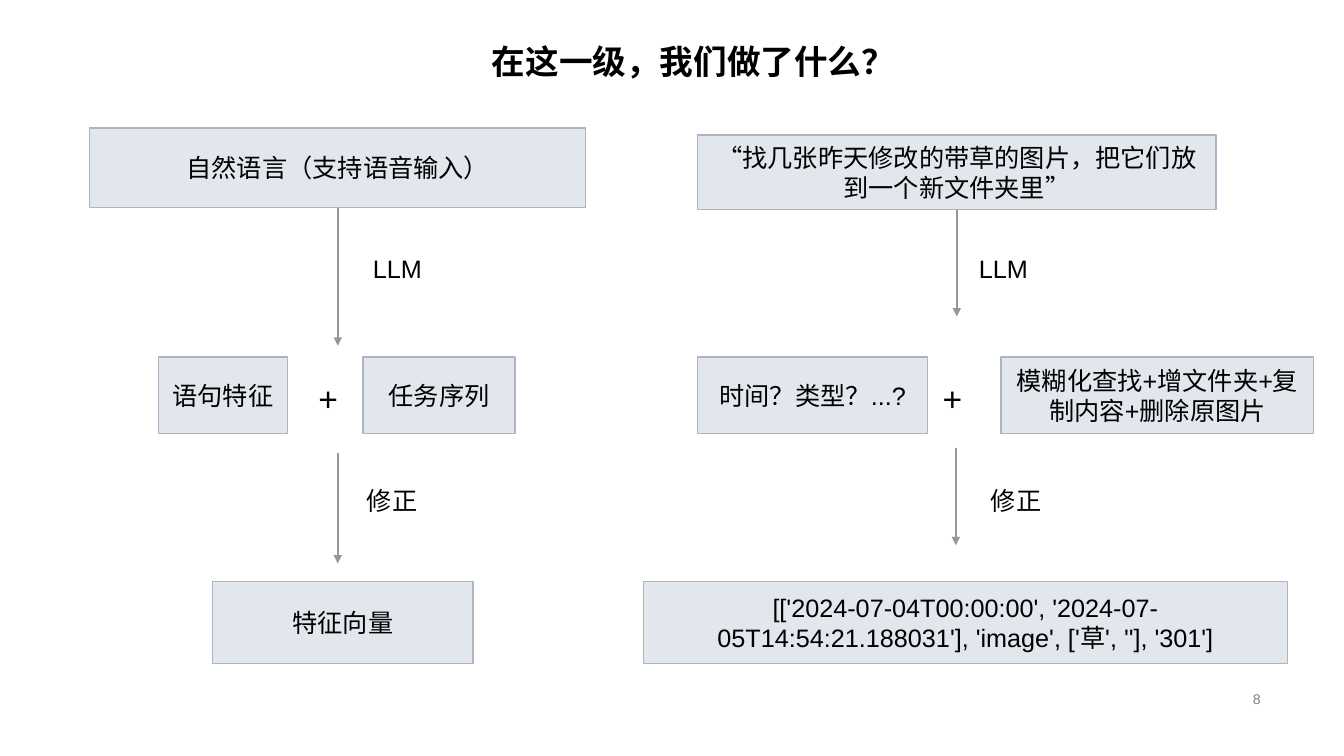
from dataclasses import dataclass
from typing import Any, Optional

from lxml import etree
from pptx import Presentation
from pptx import util as u
from pptx.dml.color import RGBColor
from pptx.enum import shapes, text
from pptx.oxml.ns import qn

COLORS = {"fill": "E2E6ED", "border": "AEB5C0", "arrow": "979797",
          "text": "000000", "number": "808080"}
BODY = {"size": u.Pt(18), "name": "Arial", "bold": False}
PLUS = {**BODY, "size": u.Pt(24)}
TITLE = {**PLUS, "bold": True}
NUMBER = {**BODY, "size": u.Pt(10)}
ROW_TOP, ROW_H = 3.54, 0.76
RESULT_TOP, RESULT_H = 5.77, 0.81


@dataclass
class Box:
    text: str
    x: float
    y: float
    w: float
    h: float


@dataclass
class Label(Box):
    font: dict[str, Any]
    align: Any = text.PP_ALIGN.LEFT
    anchor: Any = text.MSO_ANCHOR.TOP
    color: str = "text"


@dataclass
class Arrow:
    x: float
    y1: float
    y2: float
    source: Optional[int] = None


BOXES = [
    Box("自然语言（支持语音输入）", 0.89, 1.27, 4.92, 0.79),
    Box("语句特征", 1.57, ROW_TOP, 1.28, ROW_H),
    Box("任务序列", 3.6, ROW_TOP, 1.51, ROW_H),
    Box("特征向量", 2.11, RESULT_TOP, 2.58, RESULT_H),
    Box("“找几张昨天修改的带草的图片，把它们放到一个新文件夹里”", 6.92, 1.34, 5.14, 0.74),
    Box("时间？类型？...?", 6.92, ROW_TOP, 2.28, ROW_H),
    Box("模糊化查找+增文件夹+复制内容+删除原图片", 9.93, ROW_TOP, 3.1, ROW_H),
    Box("[['2024-07-04T00:00:00', '2024-07-05T14:54:21.188031'], 'image', ['草', ''], '301']",
        6.38, RESULT_TOP, 6.39, RESULT_H),
]
ARROWS = [
    Arrow(3.35, 2.06, 3.43, source=0),
    Arrow(3.35, 4.49, 5.59),
    Arrow(9.49, 2.08, 3.14, source=4),
    Arrow(9.48, 4.44, 5.41),
]
LABELS = [
    Label("在这一级，我们做了什么？", 4.78, 0.36, 4.25, 0.4, TITLE),
    Label("LLM", 3.6, 2.46, 0.75, 0.4, BODY),
    Label("LLM", 9.61, 2.46, 1.03, 0.4, BODY),
    Label("+", 3.06, 3.7, 0.48, 0.6, PLUS),
    Label("+", 9.25, 3.7, 0.48, 0.6, PLUS),
    Label("修正", 3.54, 4.77, 1.63, 0.4, BODY),
    Label("修正", 9.73, 4.77, 1.63, 0.4, BODY),
    Label("8", 9.42, 6.82, 3.18, 0.23, NUMBER, text.PP_ALIGN.RIGHT,
          text.MSO_ANCHOR.MIDDLE, "number"),
]


def rgb(name: str) -> RGBColor:
    return RGBColor.from_string(COLORS[name])


def bounds(b: Box) -> list[int]:
    return [u.Inches(v) for v in (b.x, b.y, b.w, b.h)]


def write(sp: Any, content: str, font: dict[str, Any], align: Any, anchor: Any,
          color: str = "text") -> None:
    tf = sp.text_frame
    tf.word_wrap = True
    tf.vertical_anchor = anchor
    p = tf.paragraphs[0]
    p.alignment = align
    r = p.add_run()
    r.text = content
    for key, value in font.items():
        setattr(r.font, key, value)
    r.font.color.rgb = rgb(color)


def draw_box(s: Any, b: Box) -> Any:
    sp = s.shapes.add_shape(shapes.MSO_SHAPE.RECTANGLE, *bounds(b))
    sp.shadow.inherit = False
    sp.fill.solid()
    sp.fill.fore_color.rgb = rgb("fill")
    sp.line.color.rgb = rgb("border")
    sp.line.width = u.Pt(1)
    write(sp, b.text, BODY, text.PP_ALIGN.CENTER, text.MSO_ANCHOR.MIDDLE)
    return sp


def draw_label(s: Any, b: Label) -> None:
    sp = s.shapes.add_textbox(*bounds(b))
    write(sp, b.text, b.font, b.align, b.anchor, b.color)


def draw_arrow(s: Any, a: Arrow, boxes: list[Any]) -> None:
    x = u.Inches(a.x)
    c = s.shapes.add_connector(shapes.MSO_CONNECTOR.STRAIGHT,
                               x, u.Inches(a.y1), x, u.Inches(a.y2))
    if a.source is not None:
        c.begin_connect(boxes[a.source], 2)
    c.line.color.rgb = rgb("arrow")
    c.line.width = u.Pt(1.5)
    etree.SubElement(c.line._get_or_add_ln(), qn("a:tailEnd"), type="triangle")
    etree.SubElement(c._element.spPr, qn("a:effectLst"))


def main() -> None:
    prs = Presentation()
    prs.slide_width, prs.slide_height = u.Inches(13.33), u.Inches(7.5)
    s = prs.slides.add_slide(prs.slide_layouts[6])
    boxes = [draw_box(s, b) for b in BOXES]
    for a in ARROWS:
        draw_arrow(s, a, boxes)
    for label in LABELS:
        draw_label(s, label)
    prs.save("out.pptx")


if __name__ == "__main__":
    main()
